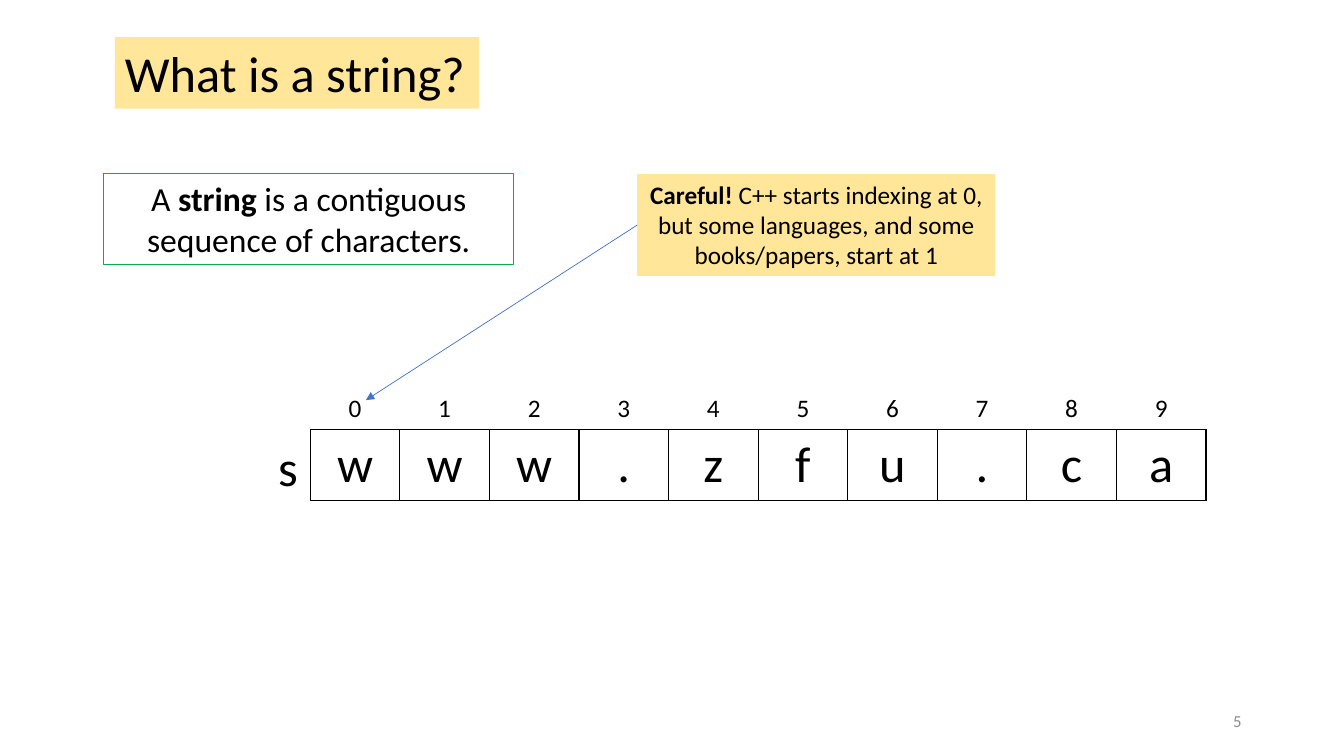
from lxml import etree
from pptx import Presentation
from pptx.dml.color import RGBColor
from pptx.enum.shapes import MSO_CONNECTOR, MSO_SHAPE
from pptx.enum.text import MSO_ANCHOR, MSO_AUTO_SIZE, PP_ALIGN
from pptx.oxml.ns import qn
from pptx.util import Pt

LEFT, CENTER, RIGHT = PP_ALIGN.LEFT, PP_ALIGN.CENTER, PP_ALIGN.RIGHT
TOP, MIDDLE, BOTTOM = MSO_ANCHOR.TOP, MSO_ANCHOR.MIDDLE, MSO_ANCHOR.BOTTOM
FIT_SHAPE, FIXED_SIZE = MSO_AUTO_SIZE.SHAPE_TO_FIT_TEXT, MSO_AUTO_SIZE.NONE
RECTANGLE, STRAIGHT = MSO_SHAPE.RECTANGLE, MSO_CONNECTOR.STRAIGHT
TITLE_ONLY_LAYOUT = 5
LEFT_SIDE = 1
FONT = "Calibri"
COLORS = {
    "text": "000000",
    "highlight": "FFE699",
    "definition": "00B050",
    "arrow": "4472C4",
    "page": "8C8C8C",
}


def color(name):
    """Return the named colour of the palette."""
    return RGBColor.from_string(COLORS[name])


def write_text(frame, *parts, size, align=LEFT, ink="text", bold_part=None):
    """Write the parts as runs of one paragraph, with one of them bold."""
    paragraph = frame.paragraphs[0]
    paragraph.alignment = align
    for index, part in enumerate(parts):
        run = paragraph.add_run()
        run.text = part
        run.font.name = FONT
        run.font.size = Pt(size)
        run.font.bold = index == bold_part
        run.font.color.rgb = color(ink)


def set_frame(frame, wrap=True, anchor=TOP, fit=FIT_SHAPE):
    """Set the wrapping, anchoring and sizing of a frame."""
    frame.word_wrap = wrap
    frame.auto_size = fit
    frame.vertical_anchor = anchor


def add_title(slide, left, top, width, height):
    """Place the highlighted title."""
    title = slide.shapes.title
    title.left, title.top = Pt(left), Pt(top)
    title.width, title.height = Pt(width), Pt(height)
    title.fill.solid()
    title.fill.fore_color.rgb = color("highlight")
    set_frame(title.text_frame, wrap=False, fit=FIXED_SIZE)
    write_text(title.text_frame, "What is a string?", size=36)


def add_box(slide, left, top, width, height, *parts, size, bold_part, fill=None, line=None):
    """Add a rectangle with centred text and return it."""
    box = slide.shapes.add_shape(RECTANGLE, Pt(left), Pt(top), Pt(width), Pt(height))
    box.shadow.inherit = False
    if fill:
        box.fill.solid()
        box.fill.fore_color.rgb = color(fill)
    else:
        box.fill.background()
    if line:
        box.line.color.rgb = color(line)
        box.line.width = Pt(0.75)
    else:
        box.line.fill.background()
    set_frame(box.text_frame)
    write_text(box.text_frame, *parts, size=size, align=CENTER, bold_part=bold_part)
    return box


def add_label(slide, left, top, width, height, text, wrap=True, anchor=TOP, **style):
    """Add a plain text box."""
    label = slide.shapes.add_textbox(Pt(left), Pt(top), Pt(width), Pt(height))
    set_frame(label.text_frame, wrap=wrap, anchor=anchor)
    write_text(label.text_frame, text, **style)


def add_borders(cell, sides):
    """Draw thin black borders on the given sides of a cell."""
    properties = cell._tc.get_or_add_tcPr()
    for side in sides:
        border = etree.SubElement(properties, qn(f"a:ln{side}"), w=str(Pt(1)))
        fill = etree.SubElement(border, qn("a:solidFill"))
        etree.SubElement(fill, qn("a:srgbClr"), val=COLORS["text"])


def add_character_array(slide, left, top, cell_width, index_height, cell_height, word):
    """Add the name and the indexed cells of a string."""
    frame = slide.shapes.add_table(
        2, len(word), Pt(left), Pt(top),
        Pt(cell_width * len(word)), Pt(index_height + cell_height))
    table = frame.table
    table.first_row = table.horz_banding = False
    rows = (
        (index_height, range(len(word)), 18, BOTTOM, "B"),
        (cell_height, word, 36, TOP, "LRTB"),
    )
    for row, (height, values, size, anchor, sides) in enumerate(rows):
        table.rows[row].height = Pt(height)
        for column, value in enumerate(values):
            table.columns[column].width = Pt(cell_width)
            cell = table.cell(row, column)
            add_borders(cell, sides)
            cell.fill.background()
            cell.vertical_anchor = anchor
            write_text(cell.text_frame, str(value), size=size, align=CENTER)
    add_label(slide, left - 30, top + index_height + 1.4, 28.8, 51, "s", wrap=False, size=36)


def add_arrow(slide, box, end_x, end_y):
    """Point an arrow from the left side of a box to a place."""
    arrow = slide.shapes.add_connector(STRAIGHT, box.left, box.top, Pt(end_x), Pt(end_y))
    arrow.begin_connect(box, LEFT_SIDE)
    arrow.line.color.rgb = color("arrow")
    arrow.line.width = Pt(0.5)
    etree.SubElement(arrow.line._get_or_add_ln(), qn("a:tailEnd"), type="triangle")
    etree.SubElement(arrow._element.spPr, qn("a:effectLst"))


def build_string_slide(presentation):
    """Build the slide that explains strings."""
    slide = presentation.slides.add_slide(presentation.slide_layouts[TITLE_ONLY_LAYOUT])
    add_title(slide, 82, 26.6, 260, 51)
    add_box(slide, 74, 123.7, 293, 65.4,
            "A ", "string", " is a contiguous sequence of characters.",
            size=24, bold_part=1, line="definition")
    add_character_array(slide, 221.6, 277.6, 64, 29.2, 51, "www.zfu.ca")
    warning = add_box(
        slide, 455.2, 124.4, 255.8, 72.7, "Careful! ",
        "C++ starts indexing at 0, but some languages, and some books/papers, start at 1",
        size=18, bold_part=0, fill="highlight")
    add_arrow(slide, warning, 261.4, 285.8)
    add_label(slide, 678, 500.5, 216, 28.8, "5",
              anchor=MIDDLE, size=12, align=RIGHT, ink="page")


def main():
    """Create and save the presentation."""
    presentation = Presentation()
    presentation.slide_width, presentation.slide_height = Pt(960), Pt(540)
    build_string_slide(presentation)
    presentation.save("out.pptx")


if __name__ == "__main__":
    main()
